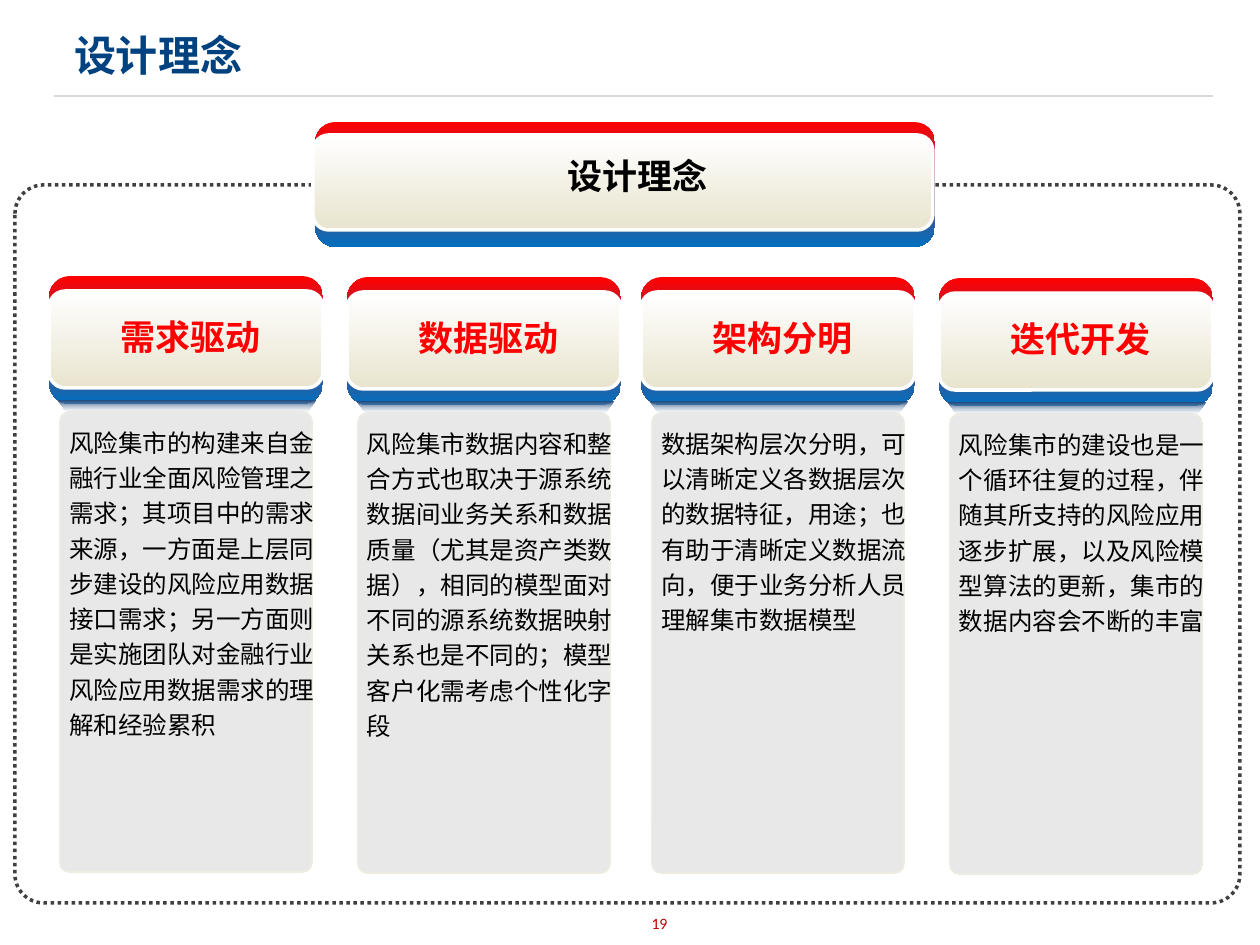
from lxml import etree
from pptx import Presentation
from pptx.dml.color import RGBColor
from pptx.enum.dml import MSO_LINE
from pptx.enum.shapes import MSO_CONNECTOR, MSO_SHAPE
from pptx.enum.text import MSO_ANCHOR, MSO_AUTO_SIZE, PP_ALIGN
from pptx.oxml.ns import qn
from pptx.util import Emu, Pt

ROUNDED = MSO_SHAPE.ROUNDED_RECTANGLE
STRAIGHT = MSO_CONNECTOR.STRAIGHT
DOTTED = MSO_LINE.ROUND_DOT
MIDDLE = MSO_ANCHOR.MIDDLE
GROW = MSO_AUTO_SIZE.SHAPE_TO_FIT_TEXT
LEFT, CENTER = PP_ALIGN.LEFT, PP_ALIGN.CENTER

SCALE = 914400 / 126  # EMU per px
CJK, LATIN = "Noto Sans CJK SC", "Calibri"
COLORS = {
    "title": "004280", "rule": "D9D9D9", "frame": "404040",
    "red": "FF0000", "blue": "0070C0", "white": "FFFFFF", "cream": "E8E4CE",
    "panel": "D9D9D9", "panel_edge": "EEECE1", "shade": "1F497D",
    "text": "000000", "number": "C00000",
}
PILLARS = [
    (49, 276, "需求驱动",
     "风险集市的构建来自金融行业全面风险管理之需求；其项目中的需求来源，一方面是上层同步建设的风险应用数据接口需求；"
     "另一方面则是实施团队对金融行业风险应用数据需求的理解和经验累积"),
    (347, 277, "数据驱动",
     "风险集市数据内容和整合方式也取决于源系统数据间业务关系和数据质量（尤其是资产类数据），"
     "相同的模型面对不同的源系统数据映射关系也是不同的；模型客户化需考虑个性化字段"),
    (641, 277, "架构分明",
     "数据架构层次分明，可以清晰定义各数据层次的数据特征，用途；也有助于清晰定义数据流向，便于业务分析人员理解集市数据模型"),
    (939, 278, "迭代开发",
     "风险集市的建设也是一个循环往复的过程，伴随其所支持的风险应用逐步扩展，以及风险模型算法的更新，集市的数据内容会不断的丰富"),
]


def px(value):
    return Emu(round(value * SCALE))


def rgb(name):
    return RGBColor.from_string(COLORS[name])


def set_alpha(fill, percent):
    color = list(fill.iter(qn("a:srgbClr")))[-1]
    etree.SubElement(color, qn("a:alpha")).set("val", str(percent * 1000))


def fill_gradient(shape, top, bottom):
    shape.fill.gradient()
    shape.fill.gradient_angle = 270
    for stop, name in zip(shape.fill.gradient_stops, (top, bottom)):
        stop.color.rgb = rgb(name)


def set_line(shape, color=None, width=1):
    if color is None:
        shape.line.fill.background()
    else:
        shape.line.color.rgb = rgb(color)
        shape.line.width = Pt(width)


def add_rounded(shapes, box, radius):
    shape = shapes.add_shape(ROUNDED, *map(px, box))
    shape.adjustments[0] = radius
    shape.shadow.inherit = False
    return shape


def format_text(frame, text, size, color, font=CJK, bold=False, align=LEFT):
    frame.text = text
    paragraph = frame.paragraphs[0]
    paragraph.alignment = align
    run_font = paragraph.runs[0].font
    run_font.size, run_font.bold, run_font.name = Pt(size), bold, font
    run_font.color.rgb = rgb(color)
    if font == CJK:
        properties = paragraph.runs[0]._r.get_or_add_rPr()
        etree.SubElement(properties, qn("a:ea")).set("typeface", font)


def add_text(shapes, box, text, size, color, wrap=False, **style):
    frame = shapes.add_textbox(*map(px, box)).text_frame
    frame.margin_left = frame.margin_right = 0
    frame.margin_top = frame.margin_bottom = 0
    frame.word_wrap = wrap
    frame.auto_size = GROW
    format_text(frame, text, size, color, **style)
    return frame


def add_plate(shapes, back_box, front_box):
    """Cream plate lying on a red-to-blue one."""
    back = add_rounded(shapes, back_box, 0.167)
    fill_gradient(back, "red", "blue")
    set_line(back)
    front = add_rounded(shapes, front_box, 0.167)
    fill_gradient(front, "white", "cream")
    set_line(front, "white", 2)


def add_header(slide, left, top, width, height):
    title = slide.shapes.title
    title.left, title.top, title.width, title.height = map(
        px, (left + 10, top, width - 9, height))
    frame = title.text_frame
    frame.margin_left = frame.margin_right = px(10)
    frame.margin_top = frame.margin_bottom = px(5)
    frame.vertical_anchor = MIDDLE
    format_text(frame, "设计理念", 24, "title", font=LATIN, bold=True)

    # Rule under the title
    rule_y = top + 86
    rule = slide.shapes.add_connector(
        STRAIGHT, px(left), px(rule_y), px(left + width), px(rule_y))
    set_line(rule, "rule", 0.75)
    etree.SubElement(rule._element.spPr, qn("a:effectLst"))


def add_frame(slide, *box):
    frame = add_rounded(slide.shapes, box, 0.04)
    frame.fill.background()
    set_line(frame, "frame", 2)
    frame.line.dash_style = DOTTED


def add_banner(slide, left, top, width, height):
    add_plate(slide.shapes, (left + 2, top, width, height),
              (left, top + 13, width, height - 30))
    add_text(slide.shapes, (left + 254, top + 32, 141, 43), "设计理念", 20, "text",
             bold=True, align=CENTER)


def add_pillar(slide, left, top, width, height, heading, body):
    shapes = slide.shapes.add_group_shape().shapes

    # Grey panel with the explanation
    panel = add_rounded(shapes, (left + 11, top + 136, width - 22, height - 136), 0.037)
    panel.fill.solid()
    panel.fill.fore_color.rgb = rgb("panel")
    set_alpha(panel._element.spPr.find(qn("a:solidFill")), 60)
    set_line(panel, "panel_edge")
    frame = add_text(shapes, (left + 20, top + 146, width - 26, 320), body, 14, "text", wrap=True)
    frame.paragraphs[0].line_spacing = 1.2

    # Heading plate
    add_plate(shapes, (left, top, width, 128), (left, top + 15, width, 97))
    add_text(shapes, (left + 71, top + 39, 141, 43), heading, 20, "red",
             bold=True, align=CENTER)

    # Shade that fades from the plate onto the panel
    x1, x2, y1, y2 = left + 9, left + width - 8, top + 125, top + 138
    builder = shapes.build_freeform(px(x1), px(y1))
    builder.add_line_segments(
        [(px(x), px(y)) for x, y in ((x1 + 10, y2), (x2 - 10, y2), (x2, y1))], close=True)
    shade = builder.convert_to_shape()
    shade.shadow.inherit = False
    fill_gradient(shade, "shade", "white")
    set_alpha(shade._element.spPr.find(qn("a:gradFill")), 0)
    set_line(shade)


def add_page_number(slide, *box):
    frame = add_text(slide.shapes, box, "19", 9, "number", wrap=True, font=LATIN, align=CENTER)
    frame.auto_size = MSO_AUTO_SIZE.NONE
    frame.vertical_anchor = MIDDLE


def main():
    deck = Presentation()
    deck.slide_width, deck.slide_height = px(1260), px(945)
    slide = deck.slides.add_slide(deck.slide_layouts[5])
    add_header(slide, 54, 10, 1159, 89)
    add_frame(slide, 15, 185, 1225, 718)
    add_banner(slide, 313, 122, 620, 125)
    for left, top, heading, body in PILLARS:
        add_pillar(slide, left, top, 274, 596, heading, body)
    add_page_number(slide, 563, 898, 193, 50)
    deck.save("out.pptx")


if __name__ == "__main__":
    main()
